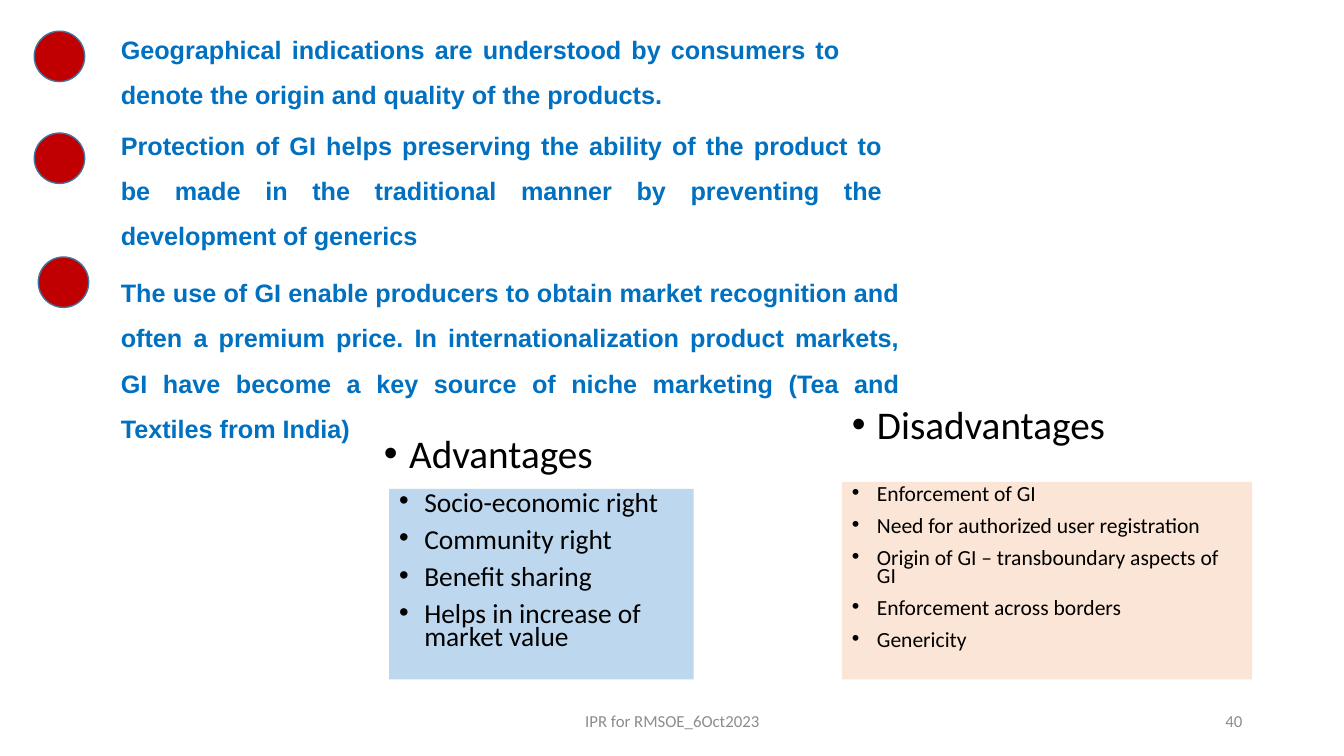
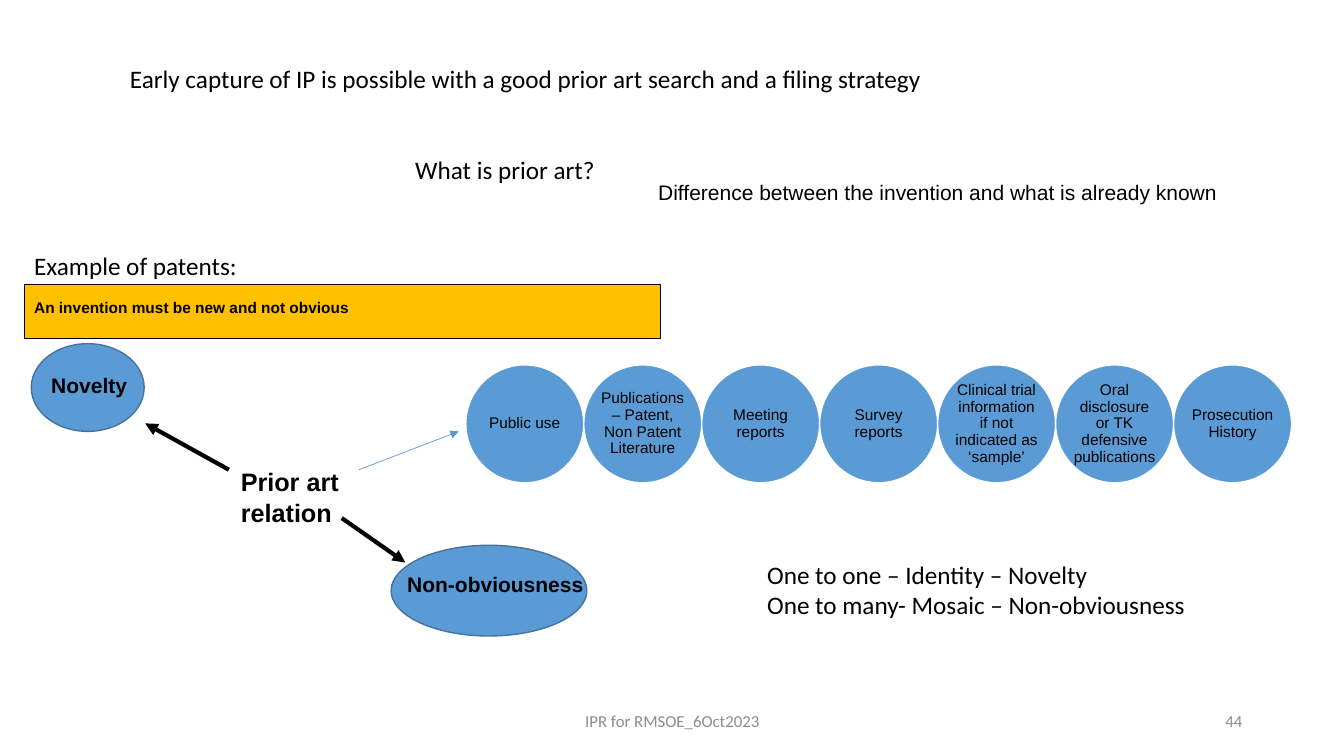
from lxml import etree
from pptx import Presentation
from pptx.dml.color import RGBColor
from pptx.enum import shapes, text
from pptx.oxml import ns
from pptx.util import Inches, Pt

BLACK = RGBColor(0, 0, 0)
WHITE = RGBColor(255, 255, 255)
GREY = RGBColor(0x8C, 0x8C, 0x8C)
BLUE = RGBColor(0x5B, 0x9B, 0xD5)
OUTLINE = RGBColor(0x43, 0x73, 0x9E)
STATEMENT = RGBColor(0, 0x70, 0xC0)
RED = RGBColor(0xC0, 0, 0)
AMBER = RGBColor(0xFF, 0xC0, 0)
PALE_BLUE = RGBColor(0xBD, 0xD7, 0xEE)
PALE_ORANGE = RGBColor(0xFB, 0xE5, 0xD6)

SHAPE = shapes.MSO_SHAPE
ALIGN = text.PP_ALIGN
ANCHOR = text.MSO_ANCHOR


def inches(*lengths):
    return [Inches(v) for v in lengths]


def add_bullet(p):
    pPr = p._p.get_or_add_pPr()
    pPr.set("marL", str(Inches(0.25)))
    pPr.set("indent", str(-Inches(0.25)))
    etree.SubElement(pPr, ns.qn("a:buFont")).set("typeface", "Arial")
    etree.SubElement(pPr, ns.qn("a:buChar")).set("char", "•")


def write(sp, lines, size=18, font="Calibri", color=BLACK, bold=False,
          align=ALIGN.LEFT, anchor=ANCHOR.TOP, spacing=1.0, before=0,
          bullet=False, wrap=True, margins=(0.1, 0.05, 0.1, 0.05)):
    tf = sp.text_frame
    tf.word_wrap = wrap
    tf.vertical_anchor = anchor
    (tf.margin_left, tf.margin_top,
     tf.margin_right, tf.margin_bottom) = inches(*margins)
    for i, line in enumerate([lines] if isinstance(lines, str) else lines):
        p = tf.add_paragraph() if i else tf.paragraphs[0]
        if bullet:
            add_bullet(p)
        p.alignment = align
        p.line_spacing = spacing
        p.space_before = Pt(before if i else 0)
        r = p.add_run()
        r.text = line
        r.font.size = Pt(size)
        r.font.name = font
        r.font.bold = bold
        r.font.color.rgb = color


def add_text(s, box, lines, **fmt):
    write(s.shapes.add_textbox(*inches(*box)), lines, **fmt)


def add_shape(s, kind, box, fill, line=None, width=1):
    sp = s.shapes.add_shape(kind, *inches(*box))
    sp.shadow.inherit = False
    sp.fill.solid()
    sp.fill.fore_color.rgb = fill
    if line is None:
        sp.line.fill.background()
    else:
        sp.line.color.rgb = line
        sp.line.width = Pt(width)
    return sp


def add_arrow(s, start, end, color, width):
    c = s.shapes.add_connector(shapes.MSO_CONNECTOR.STRAIGHT,
                               *inches(*start, *end))
    c.line.color.rgb = color
    c.line.width = Pt(width)
    etree.SubElement(c.line._get_or_add_ln(), ns.qn("a:tailEnd")).set("type", "triangle")
    etree.SubElement(c._element.spPr, ns.qn("a:effectLst"))


def add_slide(prs, number):
    s = prs.slides.add_slide(prs.slide_layouts[6])
    fmt = dict(size=12, color=GREY, anchor=ANCHOR.MIDDLE)
    add_text(s, (4.42, 6.95, 4.5, 0.4), "IPR for RMSOE_6Oct2023",
             align=ALIGN.CENTER, **fmt)
    add_text(s, (9.42, 6.95, 3, 0.4), str(number), align=ALIGN.RIGHT, **fmt)
    return s


def add_statement(s, box, dot, statement):
    add_text(s, box, statement, font="Arial", color=STATEMENT, bold=True,
             align=ALIGN.JUSTIFY, spacing=1.5)
    add_shape(s, SHAPE.FLOWCHART_CONNECTOR, (*dot, 0.5, 0.5), RED, OUTLINE)


def add_panel(s, heading_box, heading, box, fill, items, size):
    add_text(s, heading_box, heading, size=28, spacing=0.9, bullet=True)
    write(add_shape(s, SHAPE.RECTANGLE, box, fill), items, size=size,
          spacing=0.7, before=10, bullet=True)


def add_criterion(s, box, label_box, label):
    add_shape(s, SHAPE.OVAL, box, BLUE, OUTLINE)
    add_text(s, label_box, label, size=15, font="Arial", bold=True)


def add_circle_row(s, left, top, size, labels):
    for i, label in enumerate(labels):
        circle = add_shape(s, SHAPE.OVAL, (left + i * size, top, size, size),
                           BLUE, WHITE)
        write(circle, label, size=11, font="Arial", align=ALIGN.CENTER,
              anchor=ANCHOR.MIDDLE, spacing=0.9, margins=(0, 0, 0, 0))


def geographical_indications(prs):
    s = add_slide(prs, 40)
    add_statement(s, (1.1, 2.55, 7.92, 1.92), (0.38, 2.55),
                  "The use of GI enable producers to obtain market recognition "
                  "and often a premium price. In internationalization product "
                  "markets, GI have become a key source of niche marketing "
                  "(Tea and Textiles from India)")
    add_statement(s, (1.1, 1.09, 7.75, 1.46), (0.34, 1.32),
                  "Protection of GI helps preserving the ability of the product "
                  "to be made in the traditional manner by preventing the "
                  "development of generics")
    add_statement(s, (1.1, 0.14, 7.33, 1.01), (0.34, 0.31),
                  "Geographical indications are understood by consumers to "
                  "denote the origin and quality of the products.")
    add_panel(s, (3.71, 4.26, 2.54, 0.51), "Advantages",
              (3.86, 4.85, 3.02, 1.89), PALE_BLUE,
              ["Socio-economic right", "Community right", "Benefit sharing",
               "Helps in increase of market value"], 19.6)
    add_panel(s, (8.35, 3.97, 3.04, 0.58), "Disadvantages",
              (8.35, 4.78, 4.07, 1.96), PALE_ORANGE,
              ["Enforcement of GI", "Need for authorized user registration",
               "Origin of GI – transboundary aspects of GI",
               "Enforcement across borders", "Genericity"], 15.4)


def prior_art(prs):
    s = add_slide(prs, 44)
    for box, lines in [
        ((1.19, 0.58, 8.14, 0.4),
         "Early capture of IP is possible with a good prior art search "
         "and a filing strategy"),
        ((4.02, 1.48, 2, 0.4), "What is prior art?"),
        ((0.24, 2.43, 2.24, 0.4), "Example of patents:"),
        ((7.51, 5.5, 4.52, 0.71),
         ["One to one – Identity – Novelty",
          "One to many- Mosaic – Non-obviousness"]),
    ]:
        add_text(s, box, lines, wrap=False)
    add_text(s, (6.43, 1.73, 5.86, 0.35),
             "Difference between the invention and what is already known",
             size=15, font="Arial")
    banner = add_shape(s, SHAPE.RECTANGLE, (0.24, 2.82, 6.31, 0.54),
                       AMBER, BLACK, 0.75)
    write(banner, "An invention must be new and not obvious", size=11,
          font="Arial", bold=True, margins=(0.1, 0.14, 0.1, 0.05))

    add_text(s, (2.29, 4.58, 1.3, 0.71), ["Prior art", "relation"],
             font="Arial", bold=True)
    add_criterion(s, (0.31, 3.41, 1.12, 0.87), (0.41, 3.65, 1.19, 0.35),
                  "Novelty")
    add_criterion(s, (3.88, 5.41, 1.94, 0.9), (3.94, 5.62, 2.22, 0.35),
                  "Non-obviousness")
    add_circle_row(s, 4.62, 3.62, 1.17, [
        "Public use", "Publications – Patent, Non Patent Literature",
        "Meeting reports", "Survey reports",
        "Clinical trial information if not indicated as ‘sample’",
        "Oral disclosure or TK defensive publications",
        "Prosecution History"])
    add_arrow(s, (2.27, 4.66), (1.44, 4.2), BLACK, 3)
    add_arrow(s, (3.39, 5.14), (4.02, 5.58), BLACK, 3)
    add_arrow(s, (3.56, 4.66), (4.55, 4.28), BLUE, 0.5)


def main():
    prs = Presentation()
    prs.slide_width, prs.slide_height = inches(13.33, 7.5)
    geographical_indications(prs)
    prior_art(prs)
    prs.save("out.pptx")


if __name__ == "__main__":
    main()
